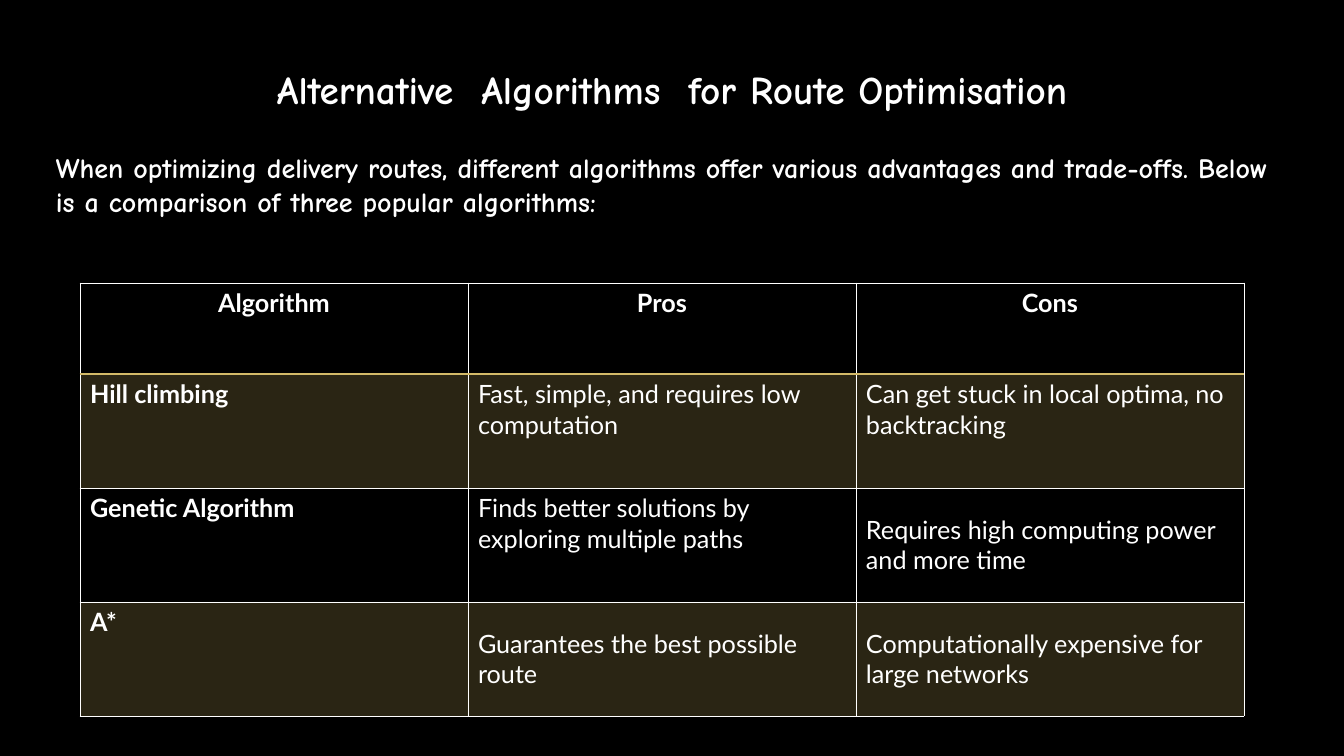
from lxml.etree import SubElement
from pptx import Presentation
from pptx.dml.color import RGBColor
from pptx.enum.text import MSO_ANCHOR, MSO_AUTO_SIZE, PP_ALIGN
from pptx.oxml.ns import qn
from pptx.util import Pt

SCALE = 914400 / 100.8
COLORS = {"black": "000000", "white": "FFFFFF", "gold": "D3BA68"}


def px(*values):
    return [round(v * SCALE) for v in values]


def style(p, font, size, bold, align=PP_ALIGN.LEFT):
    p.alignment = align
    p.font.name = font
    p.font.size = Pt(size)
    p.font.bold = bold
    p.font.color.rgb = RGBColor.from_string(COLORS["white"])


prs = Presentation()
prs.slide_width, prs.slide_height = px(1344, 756)
s = prs.slides.add_slide(prs.slide_layouts[5])
s.background.fill.solid()
s.background.fill.fore_color.rgb = RGBColor.from_string(COLORS["black"])

title = s.shapes.title
title.left, title.top, title.width, title.height = px(87, 60, 1170, 57)
intro = s.shapes.add_textbox(*px(46, 146, 1242, 78))
texts = [
    (title, "Alternative  Algorithms  for Route Optimisation", 28, PP_ALIGN.CENTER),
    (intro, "When optimizing delivery routes, different algorithms offer various advantages "
            "and trade-offs. Below is a comparison of three popular algorithms:", 20, PP_ALIGN.LEFT),
]
for sp, text, size, align in texts:
    tf = sp.text_frame
    tf.text = text
    tf.word_wrap = True
    tf.auto_size = MSO_AUTO_SIZE.SHAPE_TO_FIT_TEXT
    tf.vertical_anchor = MSO_ANCHOR.TOP
    style(tf.paragraphs[0], "Comic Neue", size, True, align)

rows = [
    ("Algorithm", "Pros", "Cons"),
    ("Hill climbing", "Fast, simple, and requires low computation",
     "Can get stuck in local optima, no backtracking"),
    ("Genetic Algorithm", "Finds better solutions by exploring multiple paths",
     "Requires high computing power and more time"),
    ("A*", "Guarantees the best possible route",
     "Computationally expensive for large networks"),
]
middle_cells = {(2, 2), (3, 1), (3, 2)}
table = s.shapes.add_table(4, 3, *px(80, 283, 1164, 433)).table
table.horz_banding = False
for col in table.columns:
    col.width = px(388)[0]
for row, height in zip(table.rows, px(91, 114, 114, 114)):
    row.height = height

for i, row in enumerate(rows):
    for j, text in enumerate(row):
        cell = table.cell(i, j)
        cell.text = text
        cell.vertical_anchor = MSO_ANCHOR.MIDDLE if (i, j) in middle_cells else MSO_ANCHOR.TOP
        style(cell.text_frame.paragraphs[0], "Lato", 18, i == 0 or j == 0,
              PP_ALIGN.CENTER if i == 0 else PP_ALIGN.LEFT)
        tcPr = cell._tc.get_or_add_tcPr()
        for side in ("lnL", "lnR", "lnT", "lnB"):
            header_rule = (i, side) in ((0, "lnB"), (1, "lnT"))
            ln = SubElement(tcPr, qn(f"a:{side}"), w=str(Pt(2 if header_rule else 0.5)))
            fill = SubElement(ln, qn("a:solidFill"))
            SubElement(fill, qn("a:srgbClr"), val=COLORS["gold" if header_rule else "white"])
        if i % 2:
            cell.fill.solid()
            cell.fill.fore_color.rgb = RGBColor.from_string(COLORS["gold"])
            color = tcPr.find(qn("a:solidFill")).find(qn("a:srgbClr"))
            SubElement(color, qn("a:alpha"), val="20000")
        else:
            cell.fill.background()

prs.save("out.pptx")
